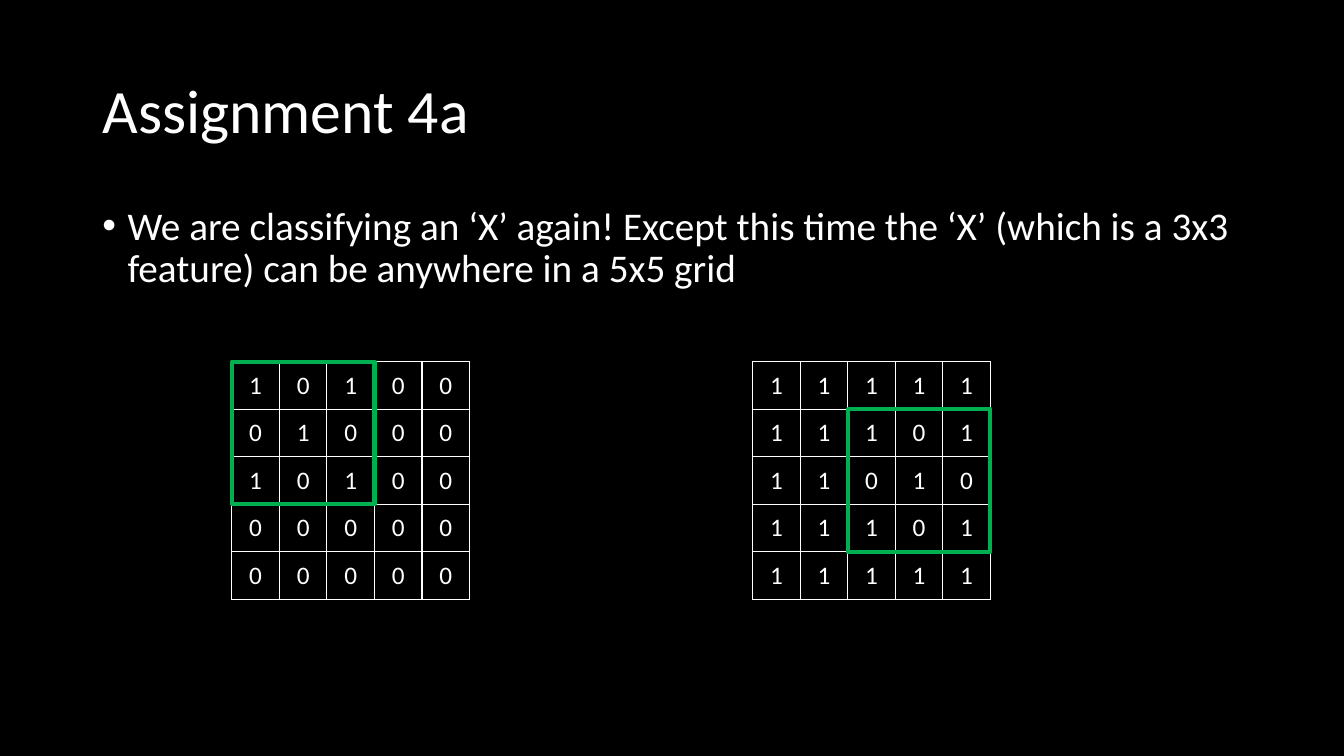
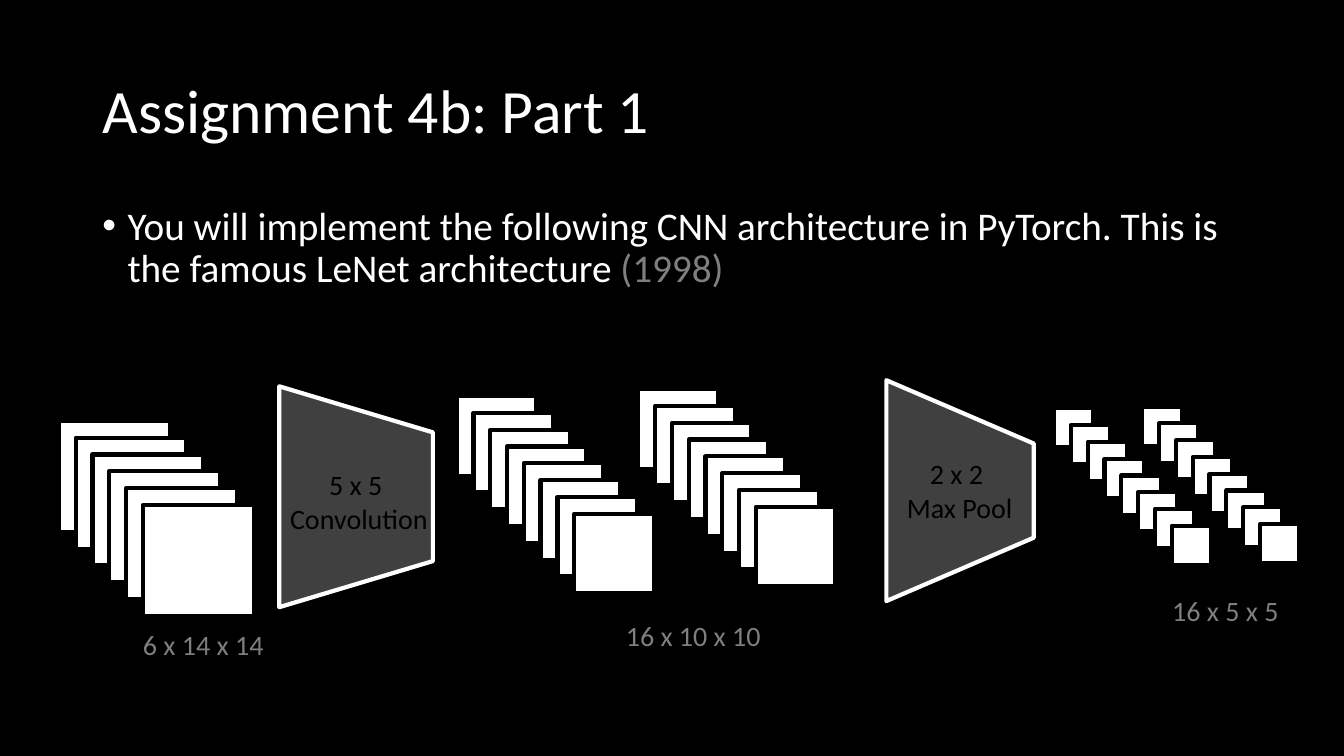
from lxml import etree
from pptx import Presentation
from pptx import util as u
from pptx.dml.color import RGBColor
from pptx.enum import shapes, text
from pptx.oxml import ns

COLS, ROWS = 80, 45
WIDE, HIGH = u.Inches(13.33), u.Inches(7.5)
FONT = "Calibri"
INK = {"black": "000000", "white": "FFFFFF", "grey": "7F7F7F",
       "dark": "404040", "green": "00B050"}
CELL = 2.83
GRID_ROW = 21.53
FRAME = 3
GRIDS = [
    (13.8, ["10100", "01000", "10100", "00000", "00000"], (0, 0)),
    (44.8, ["11111", "11101", "11010", "11101", "11111"], (2, 1)),
]
STACKS = [
    (27.18, 23.58, 4.74, 8), (62.75, 24.3, 2.34, 8), (38, 23.16, 4.74, 8),
    (68, 24.2, 2.34, 8), (3.5, 25.06, 6.6, 6),
]
SIZES = [
    ("16 x 10 x 10", 36.66, 36.54, 11.4),
    ("16 x 5 x 5", 69.18, 35.04, 9.12),
    ("6 x 14 x 14", 7.92, 37.08, 9.12),
]
LAYERS = [
    ("2 x 2 \nMax Pool", (50.57, 24.82, 13.15, 8.77), 0.43, (52.74, 26.88, 8.76)),
    ("5 x 5 \nConvolution", (14.62, 25, 13.15, 9.14), 0.3, (16.26, 27.54, 10.2)),
]


def place(col, row, wide, high):
    return [u.Emu(round(n * unit)) for n, unit in
            ((col, WIDE / COLS), (row, HIGH / ROWS),
             (wide, WIDE / COLS), (high, HIGH / ROWS))]


def hue(name):
    return RGBColor.from_string(INK[name])


def style(font, size, ink):
    font.name, font.size, font.bold = FONT, u.Pt(size), False
    font.color.rgb = hue(ink)


def dress(frame, size, ink, align=text.PP_ALIGN.LEFT):
    for para in frame.paragraphs:
        para.alignment = align
        for run in para.runs:
            style(run.font, size, ink)


def add_text(slide, words, box, size, ink, align=text.PP_ALIGN.LEFT):
    frame = slide.shapes.add_textbox(*place(*box)).text_frame
    frame.word_wrap = True
    frame.text = words
    dress(frame, size, ink, align)
    return frame


def add_page(deck, name):
    slide = deck.slides.add_slide(deck.slide_layouts.get_by_name("Title Only"))
    title = slide.shapes.title
    title.left, title.top, title.width, title.height = place(5.5, 2.4, 69, 8.7)
    frame = title.text_frame
    frame.text = name
    frame.vertical_anchor = text.MSO_ANCHOR.MIDDLE
    frame.auto_size = text.MSO_AUTO_SIZE.NONE
    frame.paragraphs[0].line_spacing = 0.9
    dress(frame, 44, "white")
    return slide


def add_point(slide, words, aside=None):
    frame = add_text(slide, words, (5.5, 12, 69, 6), 28, "white")
    para = frame.paragraphs[0]
    props = para._p.get_or_add_pPr()
    props.set("marL", str(u.Inches(0.25)))
    props.set("indent", str(-u.Inches(0.25)))
    etree.SubElement(props, ns.qn("a:buFont"), typeface="Arial")
    etree.SubElement(props, ns.qn("a:buChar"), char="•")
    para.line_spacing = 0.9
    if aside:
        run = para.add_run()
        run.text = aside
        style(run.font, 28, "grey")


def add_form(slide, kind, box, fill, line):
    form = slide.shapes.add_shape(kind, *place(*box))
    form.shadow.inherit = False
    if fill:
        form.fill.solid()
        form.fill.fore_color.rgb = hue(fill)
    else:
        form.fill.background()
    form.line.color.rgb = hue(line)
    form.line.width = u.Pt(3)
    return form


def edge(cell, ink):
    props = cell._tc.get_or_add_tcPr()
    for side in ("lnL", "lnR", "lnT", "lnB"):
        line = etree.SubElement(props, ns.qn("a:" + side), w=str(u.Pt(1)))
        fill = etree.SubElement(line, ns.qn("a:solidFill"))
        etree.SubElement(fill, ns.qn("a:srgbClr"), val=INK[ink])


def add_grid(slide, col, lines):
    count = len(lines)
    box = place(col, GRID_ROW, count * CELL, count * CELL)
    table = slide.shapes.add_table(count, count, *box).table
    table.first_row = table.horz_banding = False
    for r, line in enumerate(lines):
        for c, digit in enumerate(line):
            cell = table.cell(r, c)
            cell.text = digit
            cell.vertical_anchor = text.MSO_ANCHOR.MIDDLE
            dress(cell.text_frame, 18, "white", text.PP_ALIGN.CENTER)
            edge(cell, "white")
            cell.fill.background()


def add_stack(slide, col, row, side, count):
    for step in range(count):
        add_form(slide, shapes.MSO_SHAPE.RECTANGLE,
                 (col + step, row + step, side, side), "white", "black")


def add_layer(slide, words, box, slant, label):
    form = add_form(slide, shapes.MSO_SHAPE.TRAPEZOID, box, "dark", "white")
    form.adjustments[0] = slant
    form.rotation = 90
    add_text(slide, words, (*label, 4.62), 20, "black", text.PP_ALIGN.CENTER)


def grid_page(deck):
    slide = add_page(deck, "Assignment 4a")
    add_point(slide, "We are classifying an ‘X’ again! Except this time the ‘X’ "
                     "(which is a 3x3 feature) can be anywhere in a 5x5 grid")
    for col, lines, _ in GRIDS:
        add_grid(slide, col, lines)
    for col, _, (right, down) in GRIDS:
        box = (col + right * CELL, GRID_ROW + down * CELL, FRAME * CELL, FRAME * CELL)
        add_form(slide, shapes.MSO_SHAPE.RECTANGLE, box, None, "green")


def net_page(deck):
    slide = add_page(deck, "Assignment 4b: Part 1")
    add_point(slide, "You will implement the following CNN architecture in PyTorch. "
                     "This is the famous LeNet architecture ", "(1998)")
    for layer in LAYERS:
        add_layer(slide, *layer)
    for stack in STACKS:
        add_stack(slide, *stack)
    for words, col, row, wide in SIZES:
        add_text(slide, words, (col, row, wide, 2.64), 20, "grey")


def main():
    deck = Presentation()
    deck.slide_width, deck.slide_height = WIDE, HIGH
    back = deck.slide_master.background.fill
    back.solid()
    back.fore_color.rgb = hue("black")
    grid_page(deck)
    net_page(deck)
    deck.save("out.pptx")


if __name__ == "__main__":
    main()
